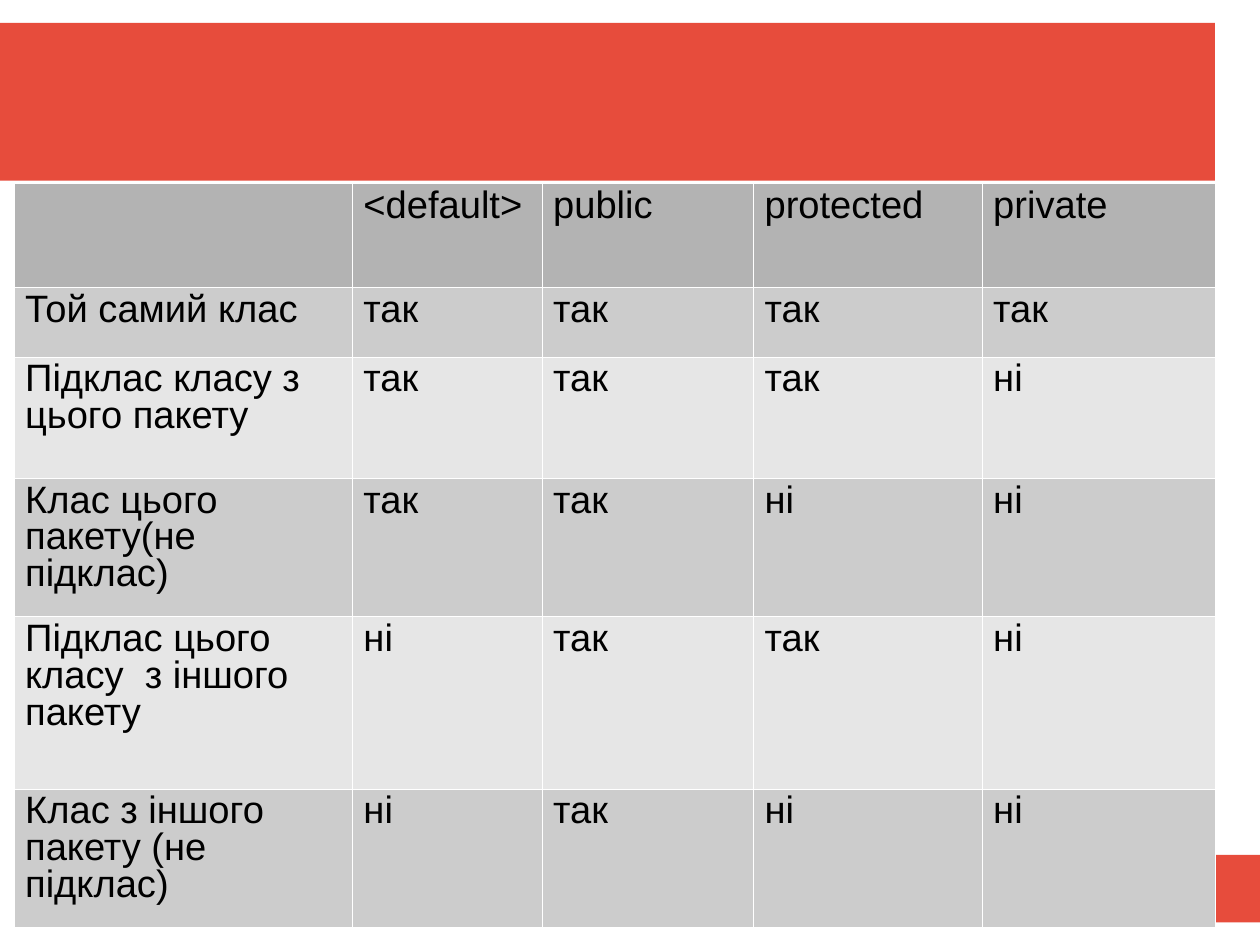
from lxml import etree
from pptx import Presentation, util as u
from pptx.dml.color import RGBColor
from pptx.enum import shapes
from pptx.oxml import ns

HUE = {"red": "E74C3C", "head": "B3B3B3", "dark": "CCCCCC",
       "light": "E6E6E6", "line": "FFFFFF", "text": "000000"}
WIDE, HIGH = u.Cm(28), u.Cm(21)

deck = Presentation()
deck.slide_width, deck.slide_height = WIDE, HIGH
slide = deck.slides.add_slide(deck.slide_layouts[6])


def paint(fill, name):
    fill.solid()
    fill.fore_color.rgb = RGBColor.from_string(HUE[name])


# Red bars in inches: left, top, width, height
bars = [(0, 0.2, 10.63, 1.38), (8.27, 7.48, 2.76, 0.59)]
for box in bars:
    bar = slide.shapes.add_shape(
        shapes.MSO_SHAPE.RECTANGLE, *[u.Inches(part) for part in box])
    bar.shadow.inherit = False
    paint(bar.fill, "red")
    bar.line.fill.background()

# Access table
rows = [
    ["", "<default>", "public", "protected", "private"],
    ["Той самий клас", "так", "так", "так", "так"],
    ["Підклас класу з цього пакету", "так", "так", "так", "ні"],
    ["Клас цього пакету(не підклас)", "так", "так", "ні", "ні"],
    ["Підклас цього класу  з іншого пакету", "ні", "так", "так", "ні"],
    ["Клас з іншого пакету (не підклас)", "ні", "так", "ні", "ні"],
]
wides = [2.96, 1.66, 1.85, 2, 2.04]
highs = [0.91, 0.61, 1.06, 1.21, 1.51, 1.21]
pads = {"margin_left": 0.1, "margin_top": 0.05,
        "margin_right": 0.1, "margin_bottom": 0.05}
style = {"name": "Arial", "size": u.Pt(24), "bold": False}

grid = slide.shapes.add_table(
    len(rows), len(wides), u.Inches(0.12), u.Inches(1.6),
    u.Inches(sum(wides)), u.Inches(sum(highs))).table
for col, wide in zip(grid.columns, wides):
    col.width = u.Inches(wide)

for r, (row, high) in enumerate(zip(rows, highs)):
    grid.rows[r].height = u.Inches(high)
    tone = "head" if r == 0 else "dark" if r % 2 else "light"
    for c, words in enumerate(row):
        cell = grid.cell(r, c)
        for key, pad in pads.items():
            setattr(cell, key, u.Inches(pad))
        para = cell.text_frame.paragraphs[0]
        para.line_spacing = 0.87
        if words:
            run = para.add_run()
            run.text = words
            for key, value in style.items():
                setattr(run.font, key, value)
            run.font.color.rgb = RGBColor.from_string(HUE["text"])
        # Borders come before the fill in the cell's properties
        props = cell._tc.get_or_add_tcPr()
        for side in ("lnL", "lnR", "lnT", "lnB"):
            edge = etree.SubElement(props, ns.qn("a:" + side), w=str(u.Pt(0.06)))
            ink = etree.SubElement(edge, ns.qn("a:solidFill"))
            etree.SubElement(ink, ns.qn("a:srgbClr"), val=HUE["line"])
        paint(cell.fill, tone)

deck.save("out.pptx")
